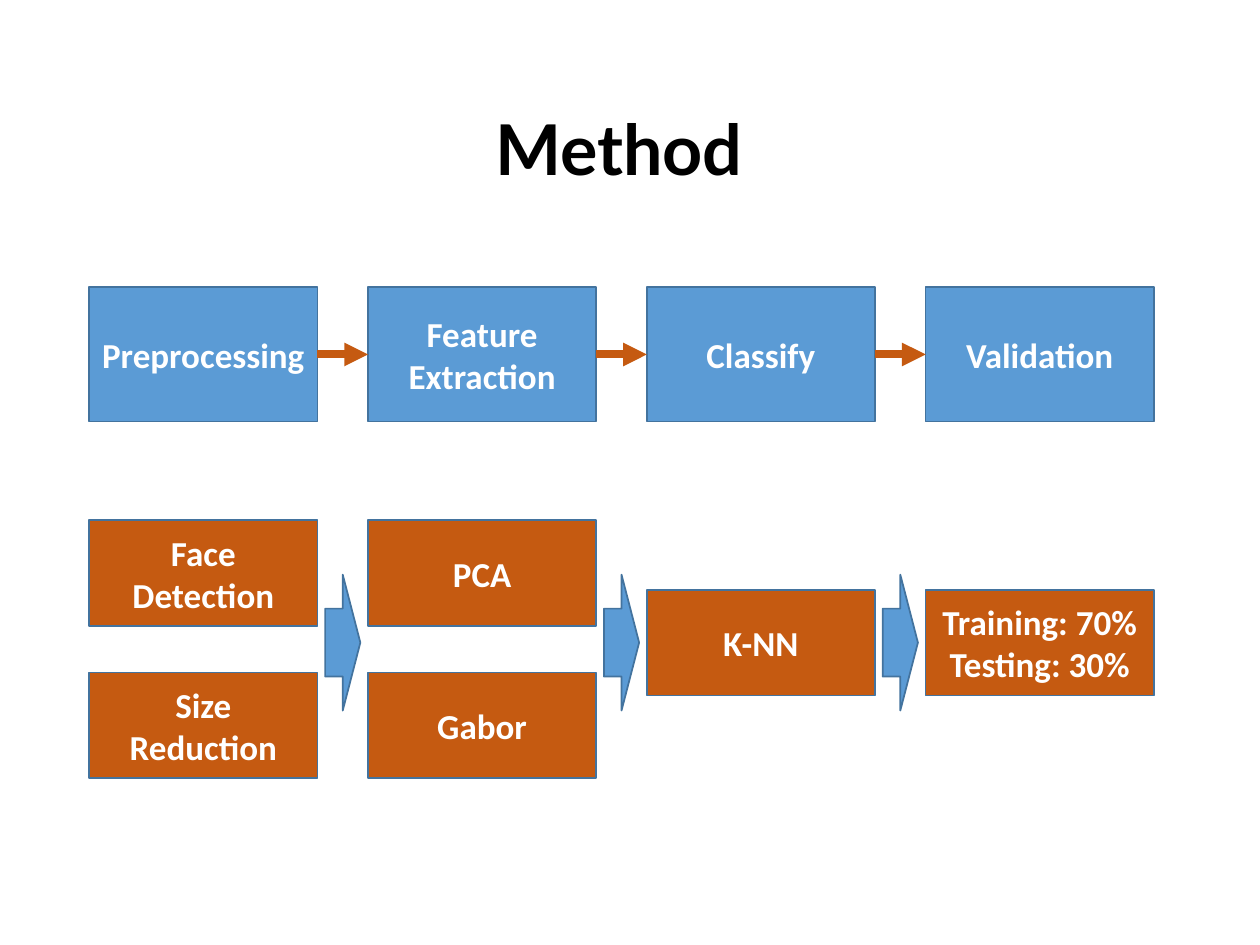
from lxml.etree import SubElement
from pptx import Presentation
from pptx.dml.color import RGBColor
from pptx.enum.shapes import MSO_CONNECTOR, MSO_SHAPE as Shape
from pptx.enum.text import MSO_ANCHOR as Anchor, MSO_AUTO_SIZE as AutoSize, PP_ALIGN as Align
from pptx.oxml.ns import qn
from pptx.util import Cm, Pt

BLUE, ORANGE, OUTLINE = "5B9BD5", "C55A11", "43739E"
LEFT, PITCH, BOX_WIDTH = 1.8, 5.62, 4.6
STAGE_TOP, STAGE_HEIGHT = 5.79, 2.71
DETAIL_HEIGHT = 2.13
UPPER_TOP, MIDDLE_TOP, LOWER_TOP = 10.49, 11.89, 13.56
ARROW_WIDTH, ARROW_HEIGHT = 0.71, 2.74

STAGES = ["Preprocessing", "Feature\nExtraction", "Classify", "Validation"]
DETAILS = [
    (0, UPPER_TOP, "Face Detection"),
    (0, LOWER_TOP, "Size Reduction"),
    (1, UPPER_TOP, "PCA"),
    (1, LOWER_TOP, "Gabor"),
    (2, MIDDLE_TOP, "K-NN"),
    (3, MIDDLE_TOP, "Training: 70%\nTesting: 30%"),
]


def color(value):
    return RGBColor.from_string(value)


def column_left(column):
    return LEFT + column * PITCH


def format_text(frame, font_name, size, text_color, align):
    for para in frame.paragraphs:
        para.alignment = align
        for span in para.runs:
            span.font.name = font_name
            span.font.size = Pt(size)
            span.font.bold = True
            span.font.color.rgb = color(text_color)


def set_title(slide, text):
    title = slide.shapes.title
    title.left, title.top, title.width, title.height = Cm(9.73), Cm(2), Cm(5.92), Cm(1.96)
    frame = title.text_frame
    frame.text = text
    frame.word_wrap = False
    frame.auto_size = AutoSize.SHAPE_TO_FIT_TEXT
    frame.vertical_anchor = Anchor.TOP
    format_text(frame, "Lato", 40, "000000", Align.LEFT)


def add_filled_shape(slide, kind, left, top, width, height, fill):
    shape = slide.shapes.add_shape(kind, Cm(left), Cm(top), Cm(width), Cm(height))
    shape.shadow.inherit = False
    shape.fill.solid()
    shape.fill.fore_color.rgb = color(fill)
    shape.line.color.rgb = color(OUTLINE)
    shape.line.width = Pt(1)
    return shape


def add_box(slide, column, top, height, fill, text):
    box = add_filled_shape(slide, Shape.RECTANGLE, column_left(column), top, BOX_WIDTH, height, fill)
    frame = box.text_frame
    frame.text = text
    frame.word_wrap = True
    frame.vertical_anchor = Anchor.MIDDLE
    format_text(frame, "Calibri", 20, "FFFFFF", Align.CENTER)
    return box


def connect(slide, source, target):
    """Draw an arrow from the right side of source to the left side of target."""
    arrow = slide.shapes.add_connector(MSO_CONNECTOR.STRAIGHT, 0, 0, 0, 0)
    arrow.begin_connect(source, 3)
    arrow.end_connect(target, 1)
    arrow.line.color.rgb = color(ORANGE)
    arrow.line.width = Pt(4.5)
    SubElement(arrow.line._get_or_add_ln(), qn("a:tailEnd"), type="triangle")
    SubElement(arrow._element.spPr, qn("a:effectLst"))


def add_block_arrow(slide, column):
    """Centre a block arrow in the gap to the right of the column."""
    gap = PITCH - BOX_WIDTH
    left = column_left(column) + BOX_WIDTH + (gap - ARROW_WIDTH) / 2
    top = MIDDLE_TOP + (DETAIL_HEIGHT - ARROW_HEIGHT) / 2
    add_filled_shape(slide, Shape.RIGHT_ARROW, left, top, ARROW_WIDTH, ARROW_HEIGHT, BLUE)


def main():
    deck = Presentation()
    deck.slide_width, deck.slide_height = Cm(25.4), Cm(19.05)
    slide = deck.slides.add_slide(deck.slide_layouts[5])
    set_title(slide, "Method")

    stages = [add_box(slide, column, STAGE_TOP, STAGE_HEIGHT, BLUE, text)
              for column, text in enumerate(STAGES)]
    for source, target in zip(stages, stages[1:]):
        connect(slide, source, target)

    for column, top, text in DETAILS:
        add_box(slide, column, top, DETAIL_HEIGHT, ORANGE, text)
    for column in range(len(STAGES) - 1):
        add_block_arrow(slide, column)

    deck.save("out.pptx")


if __name__ == "__main__":
    main()
